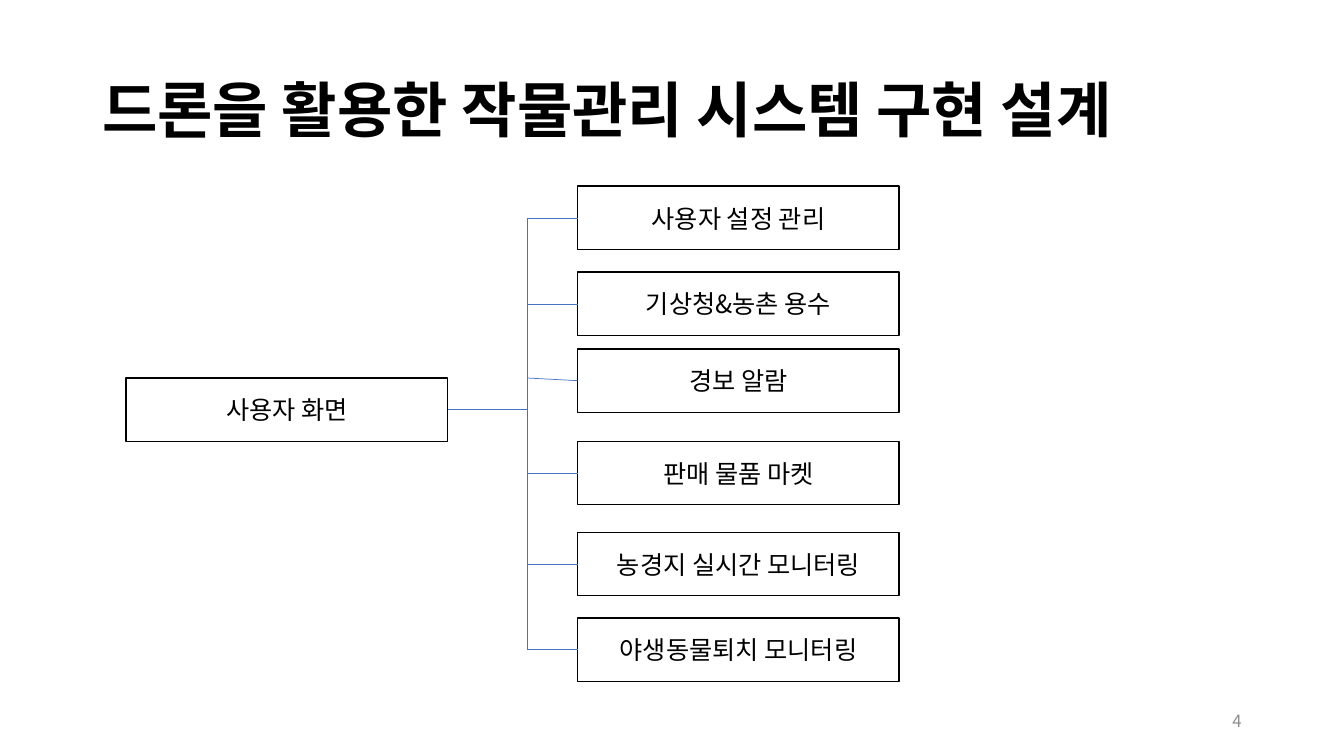
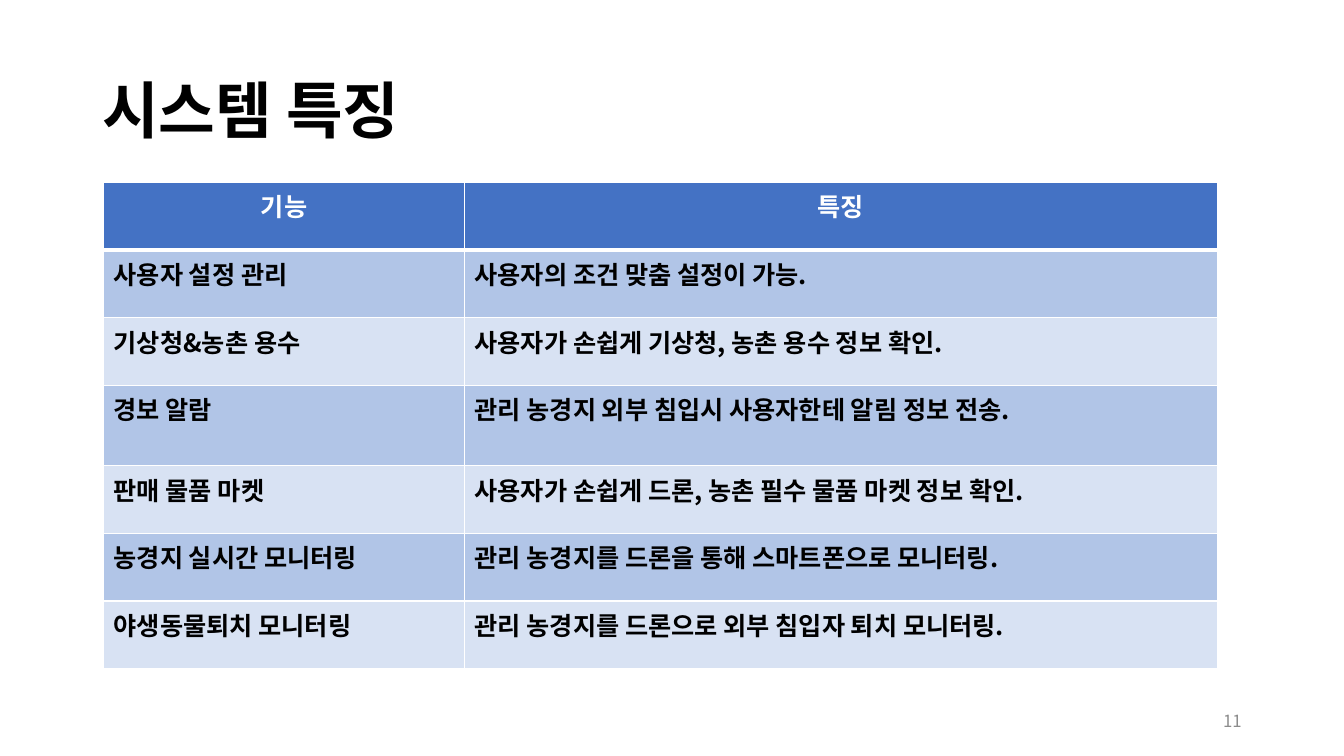
from dataclasses import dataclass

from lxml.etree import SubElement
from pptx import Presentation
from pptx.dml.color import RGBColor
from pptx.enum.shapes import MSO_CONNECTOR, MSO_SHAPE
from pptx.enum.text import MSO_ANCHOR, PP_ALIGN
from pptx.oxml.ns import qn
from pptx.util import Pt


@dataclass(frozen=True)
class Theme:
    font: str = "Noto Sans CJK KR"
    black: str = "000000"
    white: str = "FFFFFF"
    blue: str = "4472C4"
    dark_band: str = "B1C5E7"
    light_band: str = "D8E2F3"
    grey: str = "8C8C8C"
    title_size: float = 44
    long_title_size: float = 43
    body_size: float = 18
    number_size: float = 12


THEME = Theme()

FEATURES = [
    ("사용자 설정 관리", "사용자의 조건 맞춤 설정이 가능."),
    ("기상청&농촌 용수", "사용자가 손쉽게 기상청, 농촌 용수 정보 확인."),
    ("경보 알람", "관리 농경지 외부 침입시 사용자한테 알림 정보 전송."),
    ("판매 물품 마켓", "사용자가 손쉽게 드론, 농촌 필수 물품 마켓 정보 확인."),
    ("농경지 실시간 모니터링", "관리 농경지를 드론을 통해 스마트폰으로 모니터링."),
    ("야생동물퇴치 모니터링", "관리 농경지를 드론으로 외부 침입자 퇴치 모니터링."),
]

# Menu tree geometry
BOX_WIDTH, BOX_HEIGHT = 229.7, 45.4
ROOT_LEFT, ROOT_TOP = 90, 270
TRUNK_X, BRANCH_LEFT = 376.6, 412.6
BRANCH_TOPS = [133, 194.4, 249.2, 315.2, 380.2, 441.4]
ALARM_INDEX = 2


def color(code):
    return RGBColor.from_string(code)


# Text
def write(frame, text, size, ink, bold=False, align=PP_ALIGN.LEFT):
    para = frame.paragraphs[0]
    para.alignment = align
    span = para.add_run()
    span.text = text
    font = span.font
    font.name, font.size, font.bold = THEME.font, Pt(size), bold
    font.color.rgb = color(ink)
    SubElement(font._element, qn("a:ea")).set("typeface", THEME.font)
    return para


def add_text(page, left, top, width, height, *args, **style):
    frame = page.shapes.add_textbox(Pt(left), Pt(top), Pt(width), Pt(height)).text_frame
    frame.word_wrap = True
    frame.vertical_anchor = MSO_ANCHOR.MIDDLE
    return write(frame, *args, **style)


# Title and page number shared by the slides
def add_page(deck, title, number, title_size=THEME.title_size):
    page = deck.slides.add_slide(deck.slide_layouts[6])
    para = add_text(page, 66, 28.8, 828, 104.4, title, title_size, THEME.black, bold=True)
    para.line_spacing = 0.9
    add_text(page, 678, 500.4, 216, 28.8, str(number), THEME.number_size, THEME.grey,
             align=PP_ALIGN.RIGHT)
    return page


# Tree parts
def add_box(page, left, top, text):
    box = page.shapes.add_shape(MSO_SHAPE.RECTANGLE, Pt(left), Pt(top),
                                Pt(BOX_WIDTH), Pt(BOX_HEIGHT))
    box.shadow.inherit = False
    box.fill.solid()
    box.fill.fore_color.rgb = color(THEME.white)
    box.line.color.rgb = color(THEME.black)
    box.line.width = Pt(1)
    box.text_frame.vertical_anchor = MSO_ANCHOR.MIDDLE
    write(box.text_frame, text, THEME.body_size, THEME.black, align=PP_ALIGN.CENTER)


def add_line(page, x1, y1, x2, y2):
    line = page.shapes.add_connector(MSO_CONNECTOR.STRAIGHT, Pt(x1), Pt(y1), Pt(x2), Pt(y2))
    line.line.color.rgb = color(THEME.blue)
    line.line.width = Pt(0.5)
    SubElement(line._element.spPr, qn("a:effectLst"))


def add_menu_tree(page):
    middles = [top + BOX_HEIGHT / 2 for top in BRANCH_TOPS]
    for (name, _), top in zip(FEATURES, BRANCH_TOPS):
        add_box(page, BRANCH_LEFT, top, name)
    add_box(page, ROOT_LEFT, ROOT_TOP, "사용자 화면")

    root_middle = ROOT_TOP + BOX_HEIGHT / 2
    add_line(page, ROOT_LEFT + BOX_WIDTH, root_middle, TRUNK_X, root_middle)
    add_line(page, TRUNK_X, middles[0], TRUNK_X, middles[-1])
    for index, middle in enumerate(middles):
        # The alarm branch leaves the trunk level with the top of the root box
        start = ROOT_TOP if index == ALARM_INDEX else middle
        add_line(page, TRUNK_X, start, BRANCH_LEFT, middle)


# Feature table
def add_borders(cell, bottom, top):
    properties = cell._tc.get_or_add_tcPr()
    widths = {"a:lnL": 1, "a:lnR": 1, "a:lnT": top, "a:lnB": bottom}
    for index, (tag, width) in enumerate(widths.items()):
        edge = properties.makeelement(qn(tag), {"w": str(Pt(width))})
        fill = SubElement(edge, qn("a:solidFill"))
        SubElement(fill, qn("a:srgbClr")).set("val", THEME.white)
        properties.insert(index, edge)


def fill_cell(cell, text, row):
    header = row == 0
    band = THEME.dark_band if row % 2 else THEME.light_band
    cell.fill.solid()
    cell.fill.fore_color.rgb = color(THEME.blue if header else band)
    add_borders(cell, bottom=3 if header else 1, top=3 if row == 1 else 1)
    write(cell.text_frame, text, THEME.body_size, THEME.white if header else THEME.black,
          bold=True, align=PP_ALIGN.CENTER if header else PP_ALIGN.LEFT)


def add_feature_table(page):
    rows = [("기능", "특징"), *FEATURES]
    widths = [257.8, 537.8]
    heights = [48.3] * len(rows)
    heights[ALARM_INDEX + 1] = 57.5
    table = page.shapes.add_table(len(rows), len(widths), Pt(74), Pt(130.4),
                                  Pt(sum(widths)), Pt(sum(heights))).table
    for column, width in zip(table.columns, widths):
        column.width = Pt(width)
    for row, (texts, height) in enumerate(zip(rows, heights)):
        table.rows[row].height = Pt(height)
        for column, text in enumerate(texts):
            fill_cell(table.cell(row, column), text, row)


def main():
    deck = Presentation()
    deck.slide_width, deck.slide_height = Pt(960), Pt(540)
    add_menu_tree(add_page(deck, "드론을 활용한 작물관리 시스템 구현 설계", 4,
                           THEME.long_title_size))
    add_feature_table(add_page(deck, "시스템 특징", 11))
    deck.save("out.pptx")


main()
